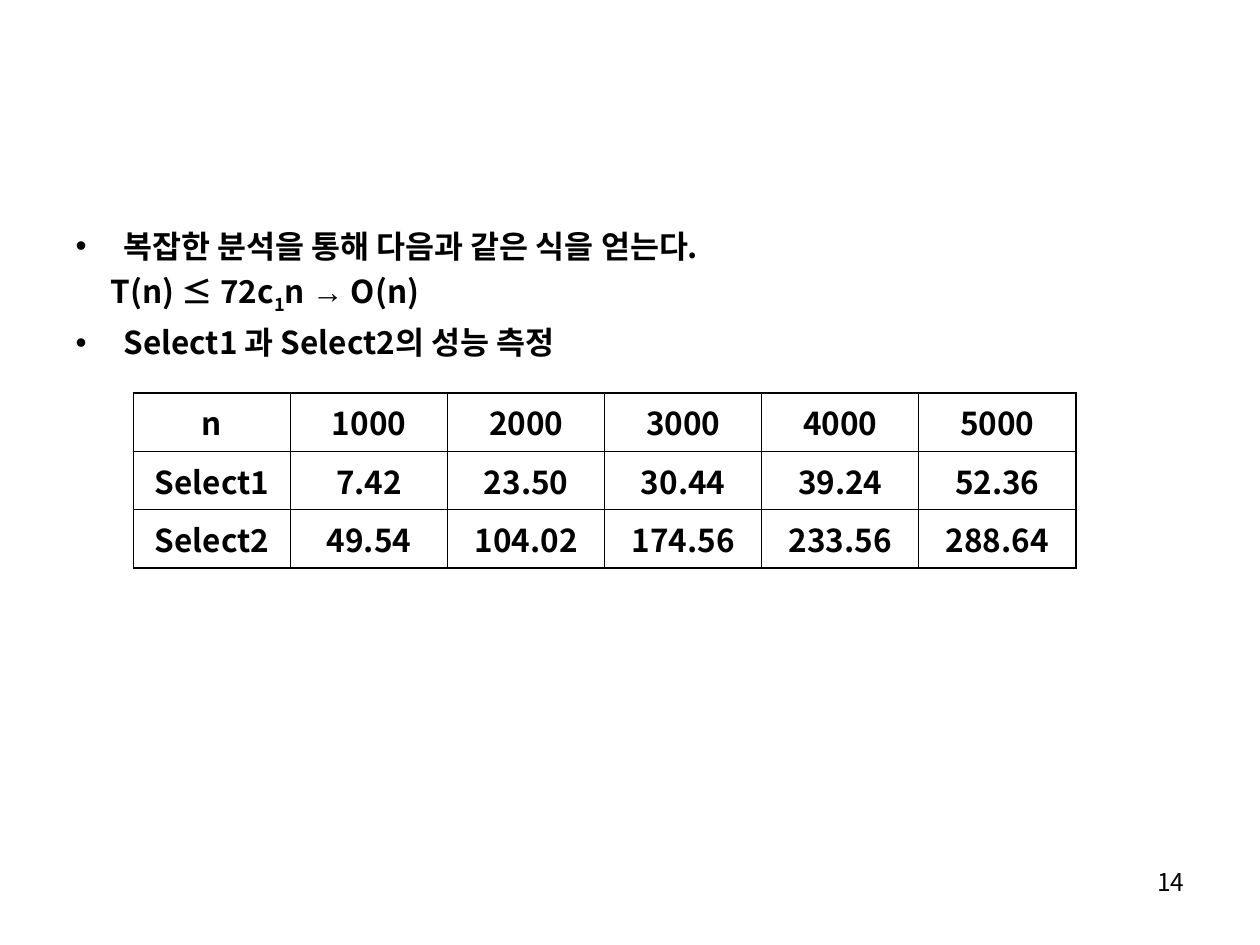
from lxml import etree
from pptx import Presentation
from pptx.dml.color import RGBColor
from pptx.enum import text as t
from pptx.oxml import ns
from pptx.util import Inches, Pt

FONT = "Noto Sans CJK KR"
BLACK = "000000"
THIN, THICK = 0.45, 1.08
TIMES = [
    ["n", "1000", "2000", "3000", "4000", "5000"],
    ["Select1", "7.42", "23.50", "30.44", "39.24", "52.36"],
    ["Select2", "49.54", "104.02", "174.56", "233.56", "288.64"],
]
FORMULA = [("T(n) ≤ 72c", {}), ("1", {"baseline": "-25000"}), ("n ", {}),
           ("→", {"font": "Arial"}), (" O(n)", {})]


def color(value):
    return RGBColor.from_string(value)


def add_run(paragraph, words, font=FONT, size=18, bold=True, baseline=None):
    run = paragraph.add_run()
    run.text = words
    for key, value in {"name": font, "size": Pt(size), "bold": bold}.items():
        setattr(run.font, key, value)
    run.font.color.rgb = color(BLACK)
    props = run._r.get_or_add_rPr()
    etree.SubElement(props, ns.qn("a:ea"), typeface=font)
    if baseline:
        props.set("baseline", baseline)


def set_indent(paragraph, margin, first, bullet=None):
    props = paragraph._p.get_or_add_pPr()
    props.set("marL", str(Inches(margin)))
    props.set("indent", str(Inches(first)))
    paragraph.space_before = Pt(4.5)
    if bullet:
        etree.SubElement(props, ns.qn("a:buFont"), typeface="Arial")
        etree.SubElement(props, ns.qn("a:buChar"), char=bullet)
    else:
        etree.SubElement(props, ns.qn("a:buNone"))


def place(part, box):
    for key, value in zip(("left", "top", "width", "height"), box):
        setattr(part, key, Inches(value))


def build_analysis(body, box):
    place(body, box)
    frame = body.text_frame
    frame.auto_size = t.MSO_AUTO_SIZE.NONE
    lines = [
        ([("복잡한 분석을 통해 다음과 같은 식을 얻는다.", {})], (0.38, -0.38, "•")),
        (FORMULA, (0.28, 0)),
        ([("Select1 과 Select2의 성능 측정", {})], (0.38, -0.38, "•")),
    ]
    for index, (runs, indent) in enumerate(lines):
        paragraph = frame.add_paragraph() if index else frame.paragraphs[0]
        set_indent(paragraph, *indent)
        for words, style in runs:
            add_run(paragraph, words, **style)


def set_borders(cell, **widths):
    props = cell._tc.get_or_add_tcPr()
    for position, side in enumerate("LRTB"):
        line = etree.Element(ns.qn(f"a:ln{side}"), w=str(Pt(widths[side])))
        fill = etree.SubElement(line, ns.qn("a:solidFill"))
        etree.SubElement(fill, ns.qn("a:srgbClr"), val=BLACK)
        props.insert(position, line)


def build_timings(slide, box):
    rows, cols = len(TIMES), len(TIMES[0])
    table = slide.shapes.add_table(rows, cols, *map(Inches, box)).table
    table.first_row = table.horz_banding = False
    for column in table.columns:
        column.width = Inches(box[2] / cols)
    for r, values in enumerate(TIMES):
        for c, value in enumerate(values):
            cell = table.cell(r, c)
            cell.fill.background()
            paragraph = cell.text_frame.paragraphs[0]
            paragraph.alignment = t.PP_ALIGN.CENTER
            paragraph.space_before = Pt(4.5)
            add_run(paragraph, value)
            set_borders(cell,
                        L=THIN if c else THICK,
                        R=THICK if c == cols - 1 else THIN,
                        T=THIN if r else THICK,
                        B=THICK if r == rows - 1 else THIN)


def build_page_number(slide, box):
    frame = slide.shapes.add_textbox(*map(Inches, box)).text_frame
    frame.word_wrap = True
    paragraph = frame.paragraphs[0]
    paragraph.alignment = t.PP_ALIGN.RIGHT
    add_run(paragraph, "14", size=14, bold=False)


def main():
    deck = Presentation()
    deck.slide_width, deck.slide_height = Inches(10), Inches(7.5)
    slide = deck.slides.add_slide(deck.slide_layouts[1])
    title = slide.shapes.title._element
    title.getparent().remove(title)
    build_analysis(slide.placeholders[1], (0.5, 1.75, 8.99, 4.95))
    build_timings(slide, (1.06, 3.12, 7.48, 1.2))
    build_page_number(slide, (7.17, 6.83, 2.33, 0.52))
    deck.save("out.pptx")


if __name__ == "__main__":
    main()
